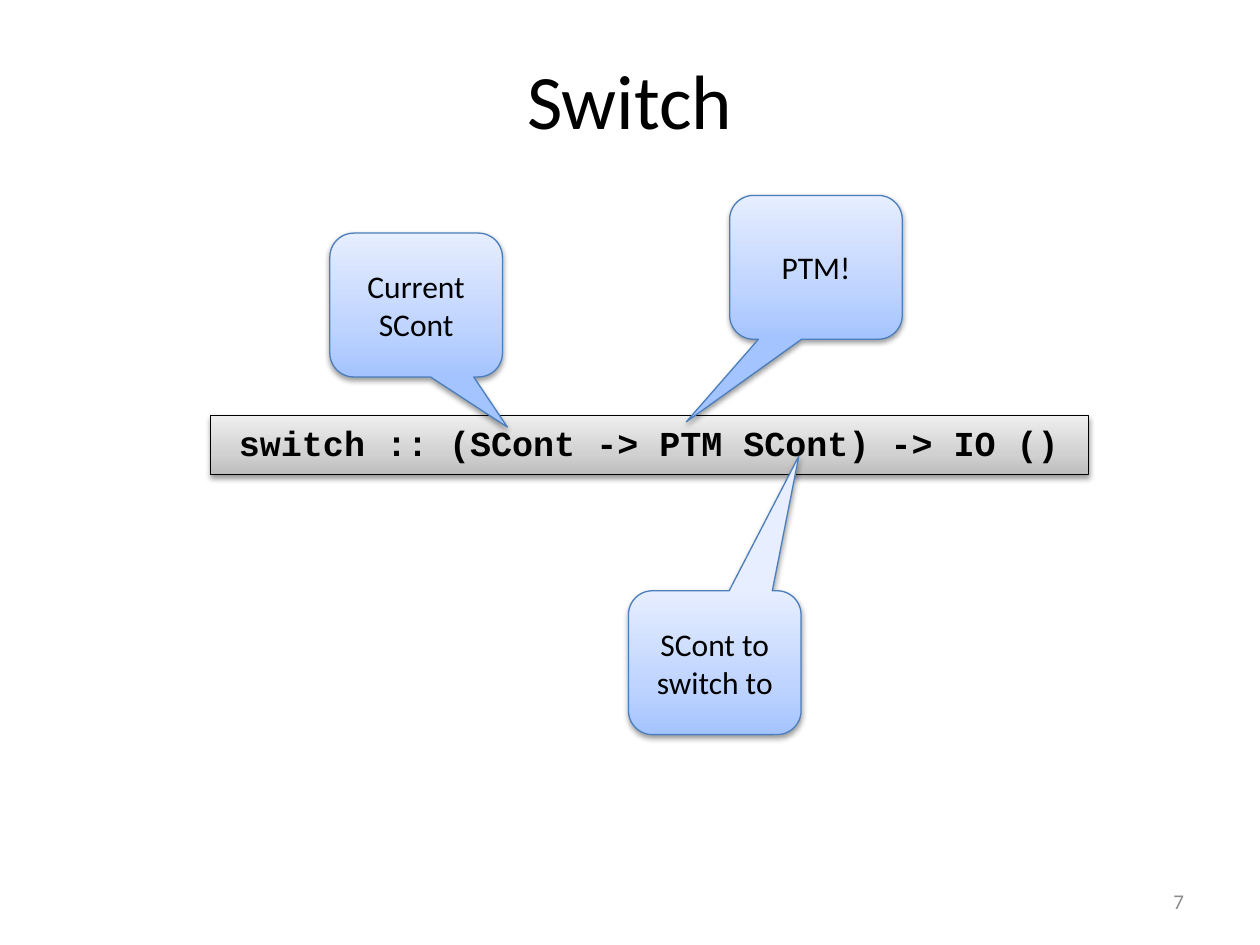
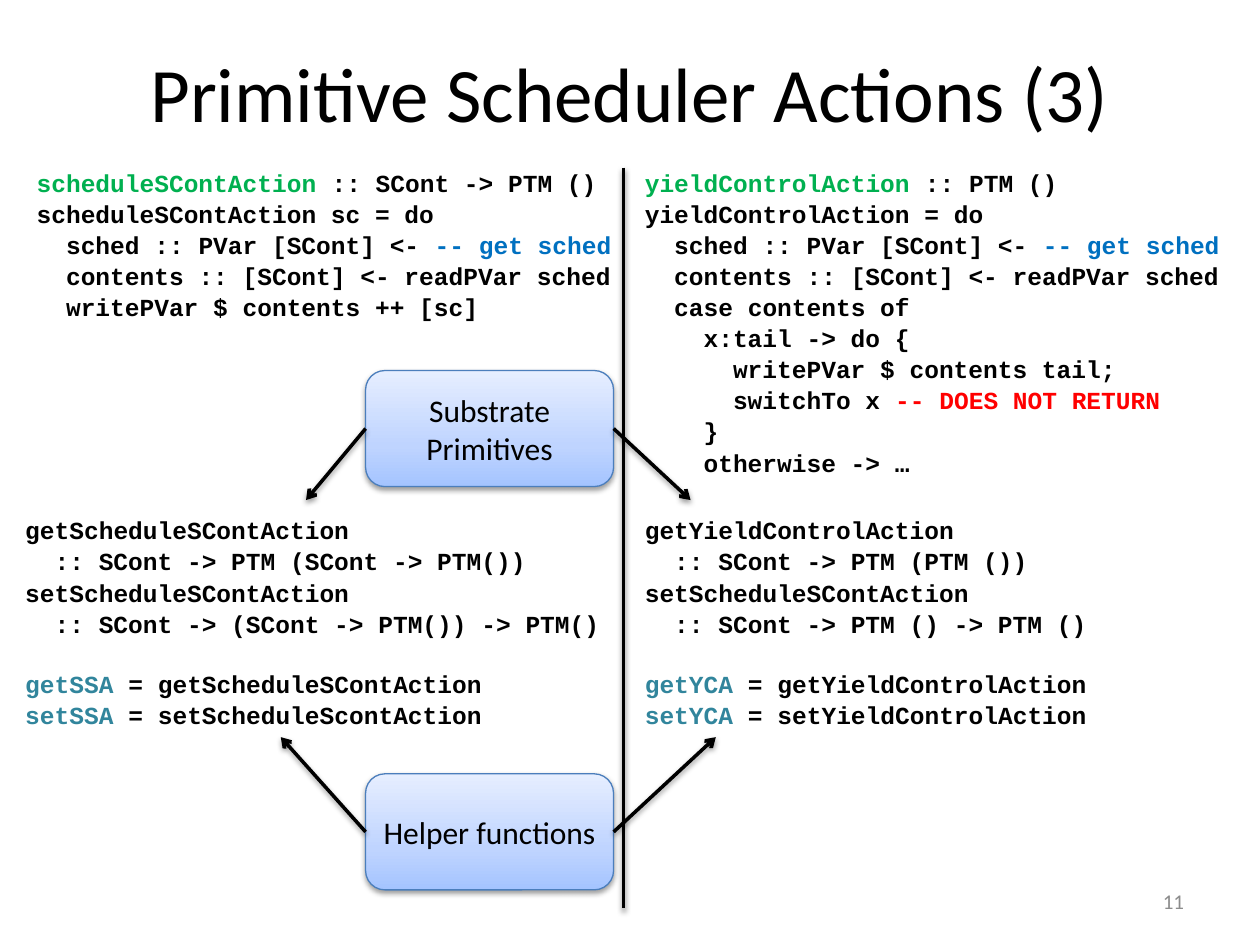
from copy import deepcopy

from lxml.etree import SubElement
from pptx import Presentation
from pptx.dml.color import RGBColor
from pptx.enum.shapes import MSO_CONNECTOR as Connector, MSO_SHAPE as Shape
from pptx.enum.text import MSO_ANCHOR as Anchor, PP_ALIGN as Align
from pptx.oxml.ns import qn
from pptx.util import Cm, Pt

COLOURS = {
    "text": "000000", "number": "8C8C8C", "outline": "4B7EBC",
    "signature": "00B050", "comment": "0070C0", "warning": "FF0000",
    "alias": "31859C",
}
BLUE = [(0, "A4C4FF"), (0.35, "BFD4FF"), (1, "E6EEFF")]
GREY = [(0, "BDBDBD"), (0.35, "D1D1D1"), (1, "EEEEEE")]
BODY_FONT, CODE_FONT = "Calibri", "Courier New"
CODE_SIZE = 14
CHARACTER = CODE_SIZE * 0.6   # width of one code character, in points
LINE_GAP = 0.95               # extra space above each code line, in points
EMPTY_LINE = 16.8             # height of one skipped code line, in points

# Slide 1: the signature and the callouts (text, left, top, pointer)
SIGNATURE = "switch :: (SCont -> PTM SCont) -> IO ()"
CALLOUT_SIZE = (3.48, 2.9)
CALLOUTS = [
    ("Current SCont", 6.65, 4.7, (0.529, 0.849)),
    ("SCont to switch to", 12.67, 11.91, (0.487, -1.436)),
    ("PTM!", 14.71, 3.94, (-0.751, 1.074)),
]

# Slide 2: code lines are (indent in characters, runs); a run is (text, colour).
# None skips a line.
SCHED_LINES = [
    (2, [("sched :: PVar [SCont] <- ", "text"), ("-- get sched", "comment")]),
    (2, [("contents :: [SCont] <- readPVar sched", "text")]),
]
SCHEDULE_CODE = [
    (0, [("scheduleSContAction ", "signature"), (":: SCont -> PTM ()", "text")]),
    (0, [("scheduleSContAction sc = do", "text")]),
    *SCHED_LINES,
    (2, [("writePVar $ contents ++ [sc]", "text")]),
]
YIELD_CODE = [
    (0, [("yieldControlAction ", "signature"), (":: PTM ()", "text")]),
    (0, [("yieldControlAction = do", "text")]),
    *SCHED_LINES,
    (2, [("case contents of", "text")]),
    (4, [("x:tail -> do {", "text")]),
    (6, [("writePVar $ contents tail;", "text")]),
    (6, [("switchTo x ", "text"), ("-- DOES NOT RETURN", "warning")]),
    (4, [("}", "text")]),
    (4, [("otherwise -> …", "text")]),
]
SCHEDULE_HELPERS = [
    (0, [("getScheduleSContAction", "text")]),
    (2, [(":: SCont -> PTM (SCont -> PTM())", "text")]),
    (0, [("setScheduleSContAction", "text")]),
    (2, [(":: SCont -> (SCont -> PTM()) -> PTM()", "text")]),
    None,
    (0, [("getSSA", "alias"), (" = getScheduleSContAction", "text")]),
    (0, [("setSSA", "alias"), (" = setScheduleScontAction", "text")]),
]
YIELD_HELPERS = [
    (0, [("getYieldControlAction", "text")]),
    (2, [(":: SCont -> PTM (PTM ())", "text")]),
    (0, [("setScheduleSContAction", "text")]),
    (2, [(":: SCont -> PTM () -> PTM ()", "text")]),
    None,
    (0, [("getYCA", "alias"), (" = getYieldControlAction", "text")]),
    (0, [("setYCA", "alias"), (" = setYieldControlAction", "text")]),
]
CODE_WIDTH = 11.84
CODE_BLOCKS = [  # lines, left, top, height
    (SCHEDULE_CODE, 0.74, 3.38, 3.45),
    (YIELD_CODE, 13, 3.38, 6.71),
    (SCHEDULE_HELPERS, 0.51, 10.39, 7.92),
    (YIELD_HELPERS, 13, 10.39, 7.92),
]
DIVIDER = ((12.57, 3.38), (12.57, 18.31))
LABEL_LEFT, LABEL_WIDTH, LABEL_HEIGHT = 7.37, 5, 2.34
LABELS = [  # text, top, left arrow tip, right arrow tip
    ("Substrate Primitives", 7.47, (6.17, 10.08), (13.92, 10.08)),
    ("Helper functions", 15.6, (5.66, 14.86), (14.43, 14.86)),
]


def style_run(run, size, colour="text", font=BODY_FONT, bold=False):
    """Set the font, size and colour of a run."""
    run.font.name, run.font.size, run.font.bold = font, Pt(size), bold
    run.font.color.rgb = RGBColor.from_string(COLOURS[colour])


def write(shape, text, size, align=Align.CENTER, anchor=Anchor.MIDDLE, **style):
    """Put one styled paragraph in a shape and return the paragraph."""
    frame = shape.text_frame
    frame.text = text
    frame.word_wrap = True
    frame.vertical_anchor = anchor
    paragraph = frame.paragraphs[0]
    paragraph.alignment = align
    style_run(paragraph.runs[0], size, **style)
    return paragraph


def add_shadow(shape):
    """Give a shape or line the soft shadow that falls straight down."""
    properties = shape._element.spPr
    for old in properties.findall(qn("a:effectLst")):
        properties.remove(old)
    effects = SubElement(properties, qn("a:effectLst"))
    shadow = SubElement(effects, qn("a:outerShdw"), blurRad="40000",
                        dist="20000", dir="5400000", rotWithShape="0")
    colour = SubElement(shadow, qn("a:srgbClr"), val="000000")
    SubElement(colour, qn("a:alpha"), val="38000")


def add_panel(slide, kind, box, stops, outline):
    """Add a shape with a vertical gradient, a thin outline and a shadow."""
    shape = slide.shapes.add_shape(kind, *map(Cm, box))
    shape.fill.gradient()
    shape.fill.gradient_angle = 90
    stop_list = shape._element.spPr.find(".//" + qn("a:gsLst"))
    stop_list.append(deepcopy(stop_list[0]))
    for stop, (position, colour) in zip(shape.fill.gradient_stops, stops):
        stop.position = position
        stop.color.rgb = RGBColor.from_string(colour)
    shape.line.color.rgb = RGBColor.from_string(COLOURS[outline])
    shape.line.width = Pt(0.75)
    add_shadow(shape)
    return shape


def add_line(slide, start, end, arrow=False):
    """Draw a straight black line, with an arrowhead at its end if wanted."""
    line = slide.shapes.add_connector(Connector.STRAIGHT,
                                      *map(Cm, (*start, *end)))
    line.line.color.rgb = RGBColor.from_string(COLOURS["text"])
    line.line.width = Pt(2)
    if arrow:
        SubElement(line._element.spPr.find(qn("a:ln")), qn("a:tailEnd"),
                   type="arrow")
    add_shadow(line)


def add_code(slide, lines, left, top, height):
    """Write a block of coloured code, one paragraph a line."""
    box = slide.shapes.add_textbox(*map(Cm, (left, top, CODE_WIDTH, height)))
    frame = box.text_frame
    frame.word_wrap = True
    frame.margin_left = frame.margin_right = 0
    frame.margin_top = frame.margin_bottom = 0
    paragraph, gap = frame.paragraphs[0], LINE_GAP
    for number, line in enumerate(lines):
        if line is None:
            gap += EMPTY_LINE
            continue
        if number:
            paragraph = frame.add_paragraph()
        indent, runs = line
        paragraph.space_before = Pt(gap)
        paragraph._p.get_or_add_pPr().set("marL", str(Pt(indent * CHARACTER)))
        for text, colour in runs:
            run = paragraph.add_run()
            run.text = text
            style_run(run, CODE_SIZE, colour, CODE_FONT, True)
        gap = LINE_GAP


def add_slide(presentation, title, title_height, number):
    """Add a blank slide with the shared title and page number."""
    slide = presentation.slides.add_slide(presentation.slide_layouts[6])
    box = slide.shapes.add_textbox(*map(Cm, (1.27, 0.76, 22.86, title_height)))
    write(box, title, 44)
    box = slide.shapes.add_textbox(*map(Cm, (18.2, 17.65, 5.92, 1.02)))
    write(box, str(number), 12, Align.RIGHT, colour="number")
    return slide


def build_switch(presentation):
    """Build the slide that explains the switch signature."""
    slide = add_slide(presentation, "Switch", 2.46, 7)
    bar = add_panel(slide, Shape.RECTANGLE, (4.24, 8.38, 17.7, 1.19), GREY, "text")
    paragraph = write(bar, SIGNATURE, 20, anchor=Anchor.TOP,
                      font=CODE_FONT, bold=True)
    paragraph.space_before = Pt(4)
    for text, left, top, pointer in CALLOUTS:
        callout = add_panel(slide, Shape.ROUNDED_RECTANGULAR_CALLOUT,
                            (left, top, *CALLOUT_SIZE), BLUE, "outline")
        callout.adjustments[0], callout.adjustments[1] = pointer
        write(callout, text, 18)


def build_actions(presentation):
    """Build the slide that compares the two scheduler actions."""
    slide = add_slide(presentation, "Primitive Scheduler Actions (3)", 2.18, 11)
    for block in CODE_BLOCKS:
        add_code(slide, *block)
    add_line(slide, *DIVIDER)
    for text, top, left_tip, right_tip in LABELS:
        label = add_panel(slide, Shape.ROUNDED_RECTANGLE,
                          (LABEL_LEFT, top, LABEL_WIDTH, LABEL_HEIGHT),
                          BLUE, "outline")
        write(label, text, 18)
        middle = top + LABEL_HEIGHT / 2
        add_line(slide, (LABEL_LEFT, middle), left_tip, arrow=True)
        add_line(slide, (LABEL_LEFT + LABEL_WIDTH, middle), right_tip, arrow=True)


presentation = Presentation()
presentation.slide_width, presentation.slide_height = Cm(25.4), Cm(19.05)
build_switch(presentation)
build_actions(presentation)
presentation.save("out.pptx")
